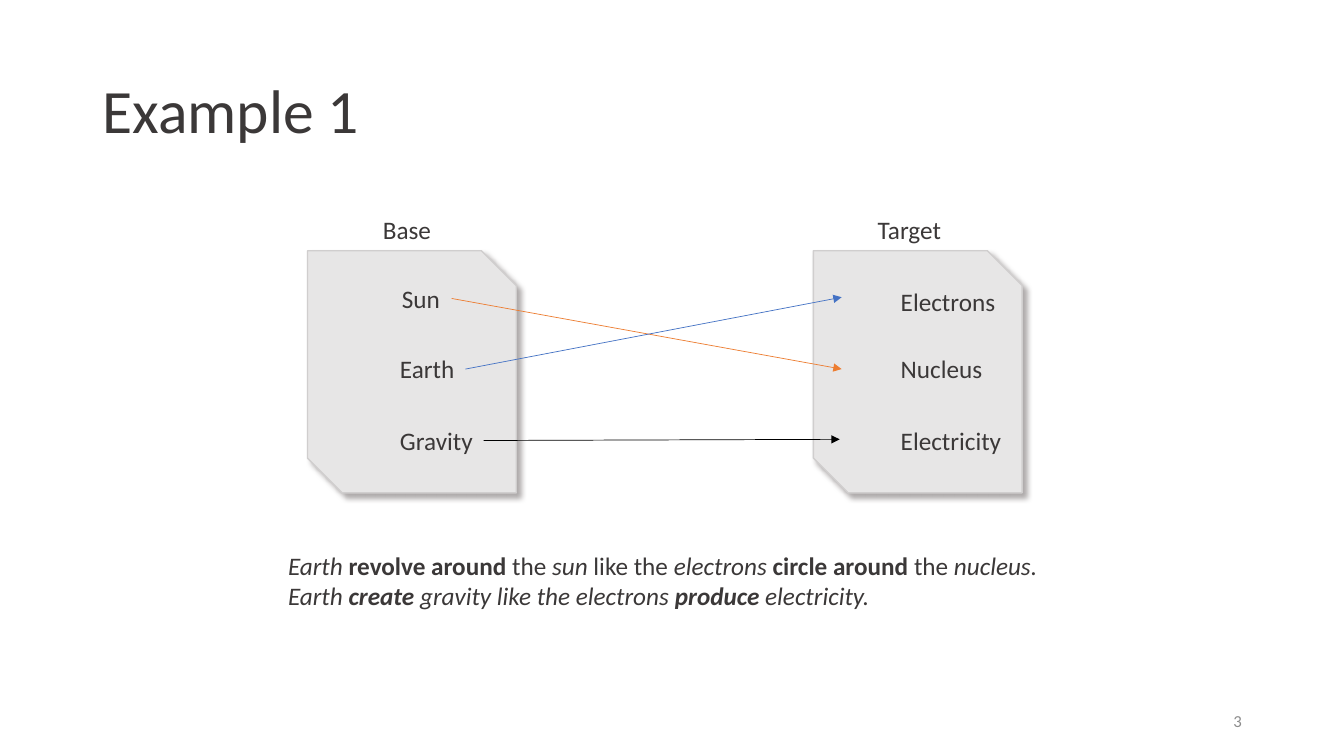
from dataclasses import dataclass

from lxml import etree
from pptx import Presentation
from pptx.dml.color import RGBColor
from pptx.enum.shapes import MSO_CONNECTOR, MSO_SHAPE
from pptx.enum.text import MSO_ANCHOR, MSO_AUTO_SIZE, PP_ALIGN
from pptx.oxml import parse_xml
from pptx.oxml.ns import qn
from pptx.util import Cm, Pt

SNIPPED = MSO_SHAPE.SNIP_2_DIAG_RECTANGLE
STRAIGHT = MSO_CONNECTOR.STRAIGHT
MIDDLE = MSO_ANCHOR.MIDDLE
LEFT, RIGHT = PP_ALIGN.LEFT, PP_ALIGN.RIGHT
FIXED, GROW = MSO_AUTO_SIZE.NONE, MSO_AUTO_SIZE.SHAPE_TO_FIT_TEXT


@dataclass(frozen=True)
class Theme:
    font: str = "Calibri"
    ink: str = "3B3838"
    muted: str = "8C8C8C"
    panel: str = "E7E6E6"
    panel_edge: str = "D0CECE"
    shadow: str = "AFABAB"
    orange: str = "ED7D31"
    blue: str = "4472C4"
    black: str = "000000"
    title_size: int = 44
    body_size: int = 18
    number_size: int = 12


theme = Theme()


def style(font, size, color):
    font.name = theme.font
    font.size = Pt(size)
    font.color.rgb = RGBColor.from_string(color)


def add_text(left, top, width, height, text=""):
    box = slide.shapes.add_textbox(Cm(left), Cm(top), Cm(width), Cm(height))
    frame = box.text_frame
    frame.word_wrap = False
    frame.auto_size = GROW
    frame.text = text
    style(frame.paragraphs[0].font, theme.body_size, theme.ink)
    return frame


deck = Presentation()
deck.slide_width, deck.slide_height = Cm(33.87), Cm(19.05)
slide = deck.slides.add_slide(deck.slide_layouts[5])

title = slide.shapes.title
title.left, title.top, title.width, title.height = Cm(2.33), Cm(1.01), Cm(29.21), Cm(3.68)
title.text_frame.text = "Example 1"
title.text_frame.auto_size = FIXED
title.text_frame.vertical_anchor = MIDDLE
heading = title.text_frame.paragraphs[0]
heading.alignment = LEFT
heading.line_spacing = 0.9
style(heading.runs[0].font, theme.title_size, theme.ink)

for panel_left in (20.5, 7.75):
    panel = slide.shapes.add_shape(SNIPPED, Cm(panel_left), Cm(6.32), Cm(5.26), Cm(6.1))
    panel.fill.solid()
    panel.fill.fore_color.rgb = RGBColor.from_string(theme.panel)
    panel.line.color.rgb = RGBColor.from_string(theme.panel_edge)
    panel.line.width = Pt(1)
    panel._element.spPr.append(parse_xml(
        '<a:effectLst xmlns:a="http://schemas.openxmlformats.org/drawingml/2006/main">'
        f'<a:outerShdw blurRad="{Pt(4)}" dist="{Pt(4)}" dir="{47 * 60000}" algn="tl" rotWithShape="0">'
        f'<a:srgbClr val="{theme.shadow}"/></a:outerShdw></a:effectLst>'))

labels = [
    ("Base", 9.4, 5.28, 1.73),
    ("Sun", 9.88, 7.01, 1.47),
    ("Earth", 9.83, 8.79, 1.9),
    ("Gravity", 9.83, 10.59, 2.36),
    ("Target", 21.87, 5.28, 2.13),
    ("Electrons", 22.45, 7.09, 2.92),
    ("Nucleus", 22.45, 8.79, 2.59),
    ("Electricity", 22.45, 10.59, 3.07),
]
for text, left, top, width in labels:
    add_text(left, top, width, 1.02, text)

mappings = [
    (theme.orange, 11.38, 7.52, 21.21, 9.3),
    (theme.blue, 11.73, 9.3, 21.21, 7.49),
    (theme.black, 12.19, 11.1, 21.16, 11.07),
]
for color, start_x, start_y, end_x, end_y in mappings:
    arrow = slide.shapes.add_connector(STRAIGHT, Cm(start_x), Cm(start_y), Cm(end_x), Cm(end_y))
    arrow.line.color.rgb = RGBColor.from_string(color)
    arrow.line.width = Pt(0.5)
    etree.SubElement(arrow.line._get_or_add_ln(), qn("a:tailEnd"), type="triangle")
    etree.SubElement(arrow._element.spPr, qn("a:effectLst"))

sentences = [
    [("Earth ", "i"), ("revolve around ", "b"), ("the ", ""), ("sun", "i"), (" like the ", ""),
     ("electrons ", "i"), ("circle around ", "b"), ("the ", ""), ("nucleus.", "i")],
    [("Earth ", "i"), ("create", "bi"), (" gravity like the electrons ", "i"),
     ("produce", "bi"), (" electricity.", "i")],
]
analogy = add_text(7.01, 13.74, 19.56, 1.8)
analogy.add_paragraph()
for para, sentence in zip(analogy.paragraphs, sentences):
    for text, emphasis in sentence:
        span = para.add_run()
        span.text = text
        style(span.font, theme.body_size, theme.ink)
        span.font.bold = "b" in emphasis
        span.font.italic = "i" in emphasis

number = add_text(23.93, 17.65, 7.62, 1.02, "3")
number.word_wrap = True
number.auto_size = FIXED
number.vertical_anchor = MIDDLE
number.paragraphs[0].alignment = RIGHT
style(number.paragraphs[0].font, theme.number_size, theme.muted)

deck.save("out.pptx")
